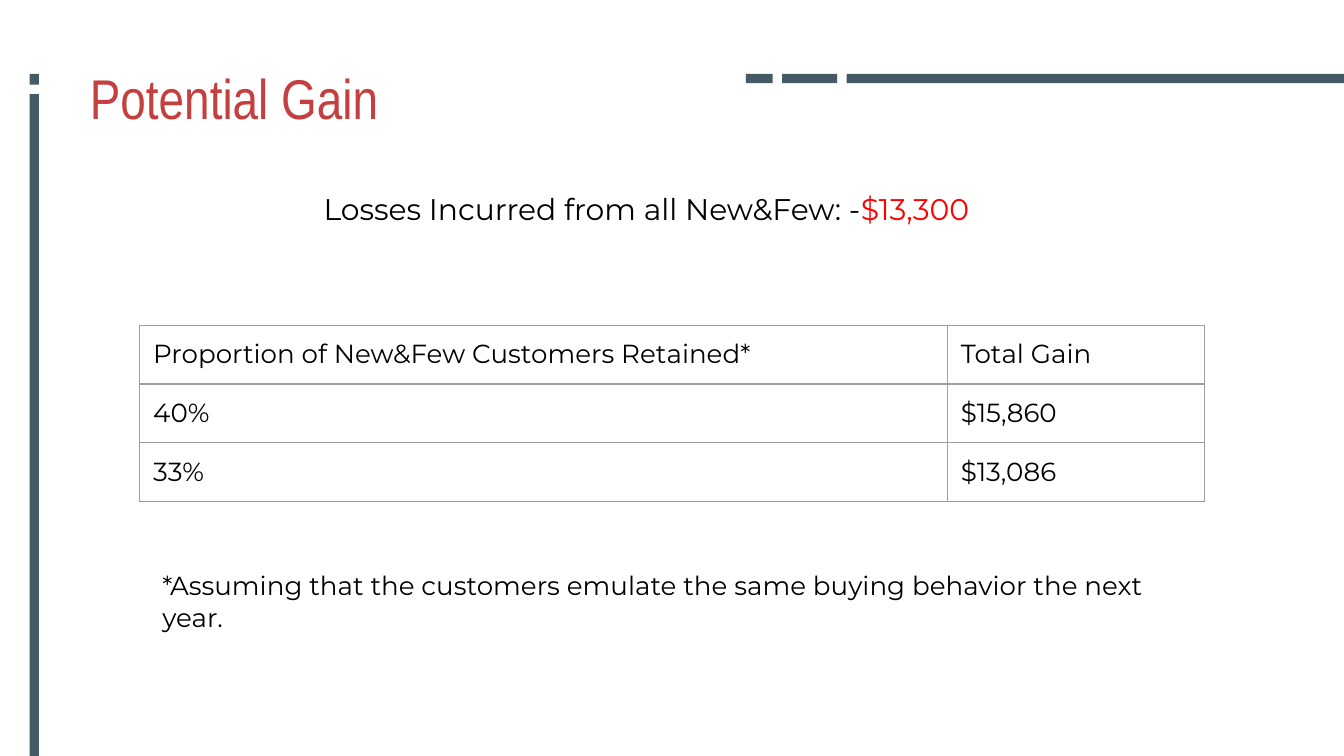
from typing import NamedTuple

from lxml import etree
from pptx import Presentation
from pptx.dml.color import RGBColor
from pptx.enum.shapes import MSO_SHAPE
from pptx.enum.text import MSO_ANCHOR
from pptx.oxml.ns import qn
from pptx.util import Inches, Pt

RECTANGLE = MSO_SHAPE.RECTANGLE
TOP = MSO_ANCHOR.TOP
COLORS = {"bar": "455A64", "title": "C53F3F", "text": "000000",
          "loss": "FF0000", "border": "9E9E9E"}
BODY_FONT = "Montserrat"
INSET = Inches(0.1)


class Box(NamedTuple):
    left: float
    top: float
    width: float
    height: float


class Run(NamedTuple):
    text: str
    size: float
    font: str = BODY_FONT
    color: str = "text"


class Label(NamedTuple):
    box: Box
    runs: list[Run]


BARS = [
    Box(6.3, 0.55, 5.11, 0.07),
    Box(5.82, 0.55, 0.41, 0.07),
    Box(5.55, 0.55, 0.2, 0.07),
    Box(0.22, 0.7, 0.07, 5.53),
    Box(0.22, 0.55, 0.07, 0.08),
]
LABELS = [
    Label(Box(0.57, 0.37, 6.98, 0.63),
          [Run("Potential Gain", 30, "Arial Narrow", "title")]),
    Label(Box(1.11, 4.14, 7.85, 0.7),
          [Run("*Assuming that the customers emulate the same buying "
               "behavior the next year.", 14)]),
    Label(Box(2.31, 1.32, 5.25, 0.77),
          [Run("Losses Incurred from all New&Few: -", 16),
           Run("$13,300", 16, color="loss")]),
]
GAINS = [
    ("Proportion of New&Few Customers Retained*", "Total Gain"),
    ("40%", "$15,860"),
    ("33%", "$13,086"),
]
COLUMN_WIDTHS = (6.01, 1.91)
ROW_HEIGHT = 0.42


def rgb(name: str) -> RGBColor:
    return RGBColor.from_string(COLORS[name])


def add_runs(p, runs: list[Run]) -> None:
    for run in runs:
        r = p.add_run()
        r.text = run.text
        r.font.size = Pt(run.size)
        r.font.name = run.font
        r.font.color.rgb = rgb(run.color)


def set_insets(target) -> None:
    target.margin_left = target.margin_right = INSET
    target.margin_top = target.margin_bottom = INSET


def add_bar(s, box: Box) -> None:
    sp = s.shapes.add_shape(RECTANGLE, *map(Inches, box))
    sp.shadow.inherit = False
    sp.fill.solid()
    sp.fill.fore_color.rgb = rgb("bar")
    sp.line.fill.background()


def add_label(s, label: Label) -> None:
    tf = s.shapes.add_textbox(*map(Inches, label.box)).text_frame
    tf.word_wrap = True
    tf.vertical_anchor = TOP
    set_insets(tf)
    add_runs(tf.paragraphs[0], label.runs)


def add_borders(cell) -> None:
    props = cell._tc.get_or_add_tcPr()
    for i, side in enumerate(("lnL", "lnR", "lnT", "lnB")):
        line = etree.Element(qn(f"a:{side}"), w=str(Pt(0.75)))
        fill = etree.SubElement(line, qn("a:solidFill"))
        etree.SubElement(fill, qn("a:srgbClr"), val=COLORS["border"])
        props.insert(i, line)


def add_gain_table(s) -> None:
    box = Box(1.04, 2.42, sum(COLUMN_WIDTHS), ROW_HEIGHT * len(GAINS))
    table = s.shapes.add_table(len(GAINS), len(COLUMN_WIDTHS),
                               *map(Inches, box)).table
    table.first_row = table.horz_banding = False
    for column, width in zip(table.columns, COLUMN_WIDTHS):
        column.width = Inches(width)
    for row, texts in zip(table.rows, GAINS):
        row.height = Inches(ROW_HEIGHT)
        for cell, text in zip(row.cells, texts):
            set_insets(cell)
            cell.fill.background()
            add_borders(cell)
            add_runs(cell.text_frame.paragraphs[0], [Run(text, 14)])


def main() -> None:
    """Build the potential gain slide."""
    prs = Presentation()
    prs.slide_width = Inches(10)
    prs.slide_height = prs.slide_width * 9 // 16
    s = prs.slides.add_slide(prs.slide_layouts[6])
    for bar in BARS:
        add_bar(s, bar)
    add_gain_table(s)
    for label in LABELS:
        add_label(s, label)
    prs.save("out.pptx")


if __name__ == "__main__":
    main()
